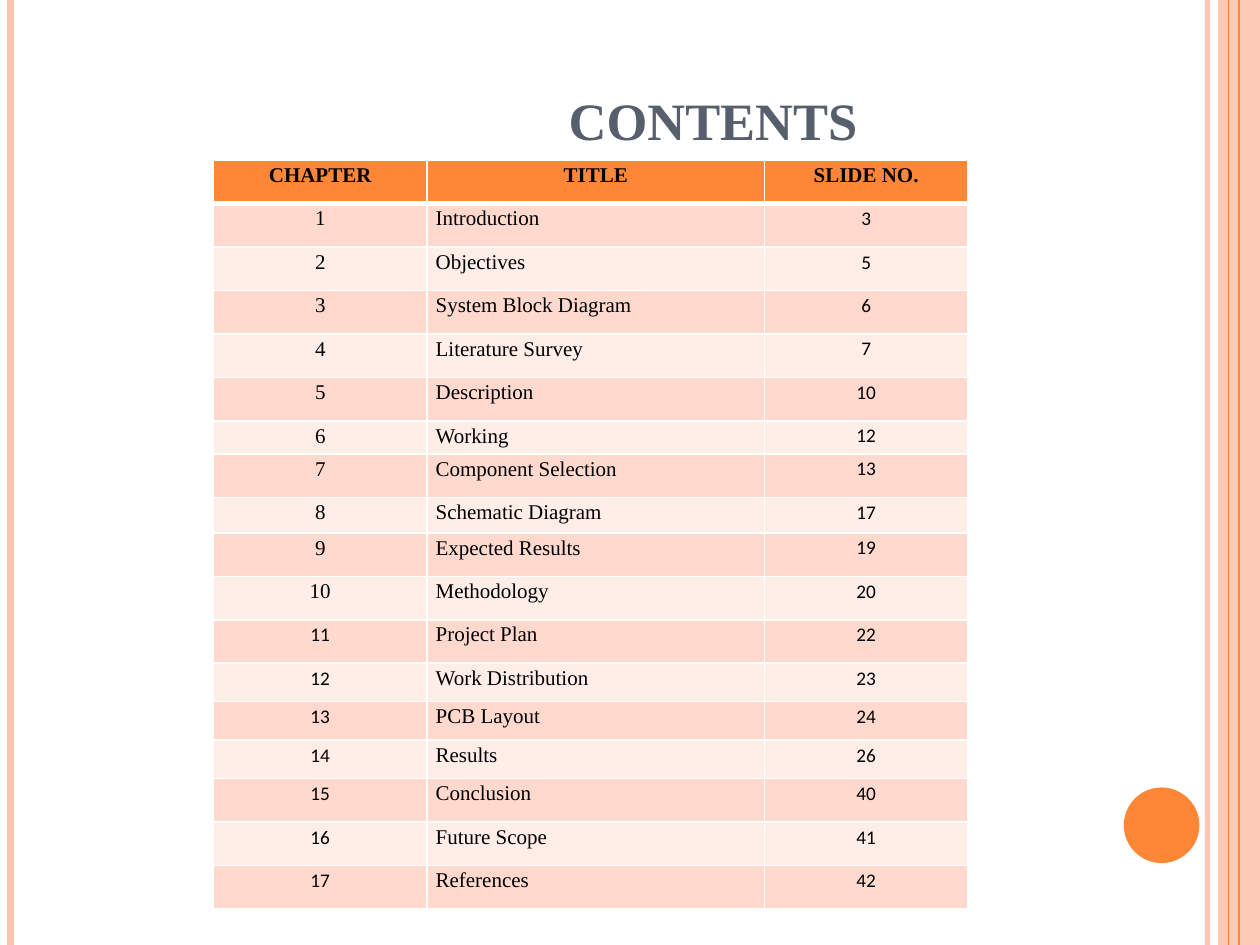
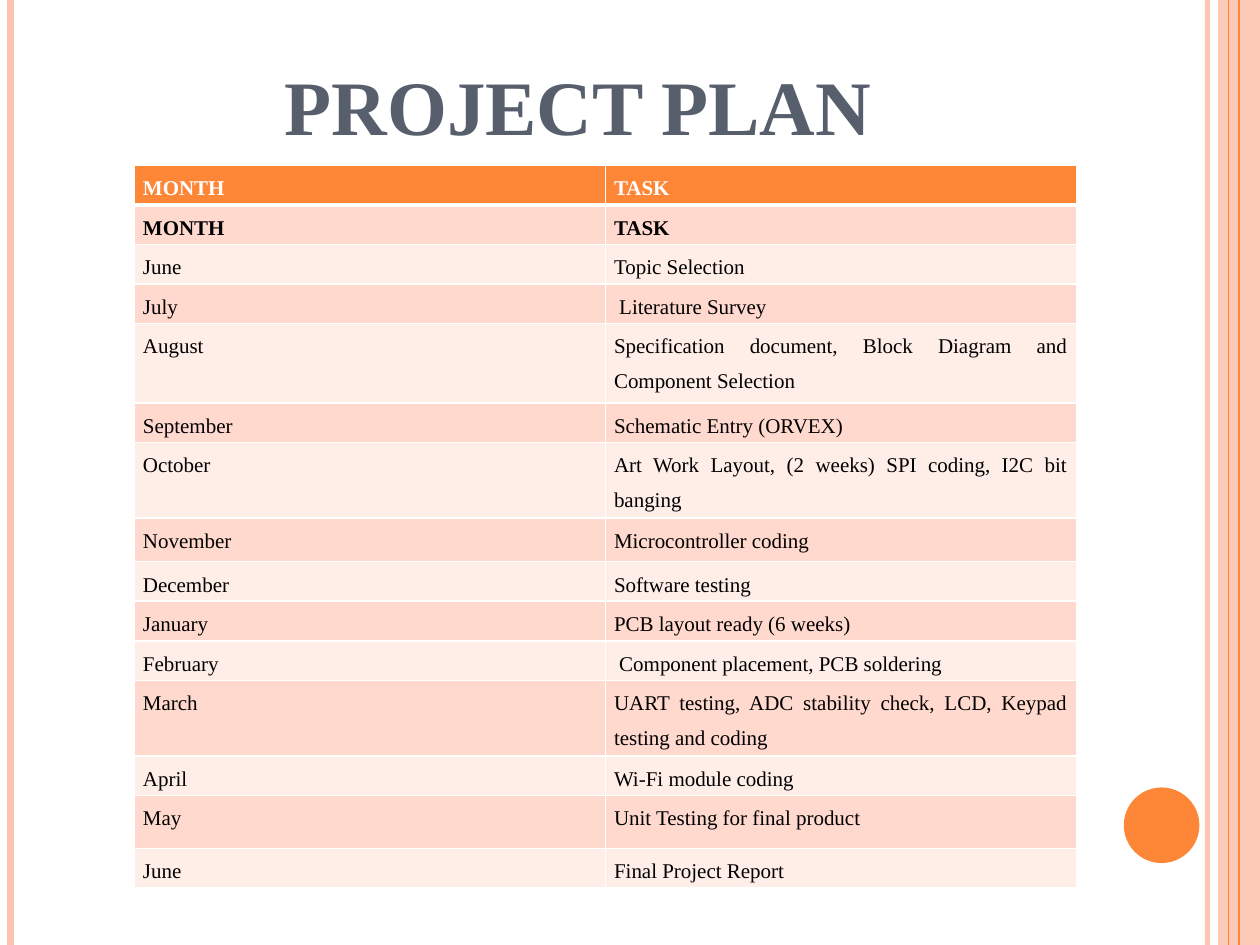
import pptx
import pptx.dml.color
import pptx.enum.shapes
import pptx.enum.text
import pptx.oxml
import pptx.oxml.ns
import pptx.util
from lxml import etree

Pt = pptx.util.Pt
ALIGN = pptx.enum.text.PP_ALIGN
SHAPE = pptx.enum.shapes.MSO_SHAPE
qn = pptx.oxml.ns.qn

ORANGE, PEACH = "FE8637", "FEC3AE"
ROW_FILLS = ["FFEDE8", "FFD9CE"]
WHITE, BLACK, SLATE = "FFFFFF", "000000", "575F6D"
SERIF, SANS = "Times New Roman", "Calibri"
PAGE_WIDTH, PAGE_HEIGHT = 720, 540


def paint(target, color, opacity=100):
    """Give a fill a solid colour, optionally see-through."""
    target.solid()
    target.fore_color.rgb = pptx.dml.color.RGBColor.from_string(color)
    if opacity < 100:
        element = target._xPr.find(".//" + qn("a:srgbClr"))
        etree.SubElement(element, qn("a:alpha")).set("val", str(opacity * 1000))


def style_text(paragraph, align, font_name, size, color, bold):
    paragraph.alignment = align
    for span in paragraph.runs:
        span.font.name = font_name
        span.font.size = Pt(size)
        span.font.bold = bold
        paint(span.font.fill, color)


# Vertical rules: x, colour, width, opacity; the band lies below the last two
RULES = [(690, PEACH, 3, 93), (6, PEACH, 4.5, 100),
         (708, ORANGE, 1.5, 100), (702, ORANGE, 0.75, 100)]

chapters = [
    ("Introduction", 3), ("Objectives", 5), ("System Block Diagram", 6),
    ("Literature Survey", 7), ("Description", 10), ("Working", 12),
    ("Component Selection", 13), ("Schematic Diagram", 17),
    ("Expected Results", 19), ("Methodology", 20), ("Project Plan", 22),
    ("Work Distribution", 23), ("PCB Layout", 24), ("Results", 26),
    ("Conclusion", 40), ("Future Scope", 41), ("References", 42),
]
contents_rows = [("CHAPTER", "TITLE", "SLIDE NO.")]
for number, (chapter, slide_number) in enumerate(chapters, 1):
    contents_rows.append((str(number), chapter, str(slide_number)))

plan_rows = [
    ("MONTH", "TASK"),
    ("MONTH", "TASK"),
    ("June", "Topic Selection"),
    ("July", " Literature Survey"),
    ("August", "Specification document, Block Diagram and Component Selection"),
    ("September", "Schematic Entry (ORVEX)"),
    ("October", "Art Work Layout, (2 weeks) SPI coding, I2C bit banging"),
    ("November", "Microcontroller coding"),
    ("December", "Software testing"),
    ("January", "PCB layout ready (6 weeks)"),
    ("February", " Component placement, PCB soldering"),
    ("March", "UART testing, ADC stability check, LCD, Keypad testing and coding"),
    ("April", "Wi-Fi module coding"),
    ("May", "Unit Testing for final product"),
    ("June", "Final Project Report"),
]

# Rows not listed under special_heights take the usual row height
pages = [
    dict(title="CONTENTS", title_left=31, title_size=30, title_inset=172,
         rows=contents_rows, left=122, top=91.5, columns=[122, 193, 116],
         row_height=24.85, line_spacing=1.15, space_after=0,
         special_heights={6: 18.9, 8: 20.3, 12: 22, 13: 22, 14: 22}),
    dict(title="PROJECT PLAN", title_left=36.5, title_size=44, title_inset=7.2,
         rows=plan_rows, left=76.7, top=94.5, columns=[269.2, 269.2],
         row_height=22.6, line_spacing=1.5, space_after=1.5,
         special_heights={4: 45.4, 6: 42.6, 7: 24.9, 11: 40, 13: 30.3}),
]

deck = pptx.Presentation()
deck.slide_width, deck.slide_height = Pt(PAGE_WIDTH), Pt(PAGE_HEIGHT)

for content in pages:
    page = deck.slides.add_slide(deck.slide_layouts[6])
    is_contents = content["rows"] is contents_rows

    # Side rules, band and dot
    for x, color, width, opacity in RULES:
        if x == 708:
            continue_band = page.shapes.add_shape(
                SHAPE.RECTANGLE, Pt(696), 0, Pt(24), Pt(PAGE_HEIGHT))
            paint(continue_band.fill, PEACH, 87)
            continue_band.line.fill.background()
            continue_band.shadow.inherit = False
        rule = page.shapes.add_connector(
            pptx.enum.shapes.MSO_CONNECTOR.STRAIGHT, Pt(x), 0, Pt(x), Pt(PAGE_HEIGHT))
        rule.line.width = Pt(width)
        paint(rule.line.fill, color, opacity)
        etree.SubElement(rule._element.spPr, qn("a:effectLst"))
    dot = page.shapes.add_shape(SHAPE.OVAL, Pt(642.2), Pt(450), Pt(43.2), Pt(43.2))
    paint(dot.fill, ORANGE)
    dot.line.fill.background()
    dot.shadow.inherit = False

    # Title
    box = page.shapes.add_textbox(Pt(content["title_left"]), 0, Pt(588), Pt(90))
    frame = box.text_frame
    frame.word_wrap = True
    frame.vertical_anchor = pptx.enum.text.MSO_ANCHOR.BOTTOM
    frame.margin_left = Pt(content["title_inset"])
    frame.text = content["title"]
    style_text(frame.paragraphs[0], ALIGN.CENTER, SERIF, content["title_size"], SLATE, True)

    # Table grid
    rows, columns = content["rows"], content["columns"]
    heights = [content["special_heights"].get(index, content["row_height"])
               for index in range(len(rows))]
    table = page.shapes.add_table(
        len(rows), len(columns), Pt(content["left"]), Pt(content["top"]),
        Pt(sum(columns)), Pt(sum(heights))).table
    for column, width in zip(table.columns, columns):
        column.width = Pt(width)
    for row, height in zip(table.rows, heights):
        row.height = Pt(height)

    # Table cells
    for row_index, row in enumerate(rows):
        is_header = row_index == 0
        for column_index, text in enumerate(row):
            cell = table.cell(row_index, column_index)
            cell.margin_left = cell.margin_right = Pt(5)
            cell.margin_top = cell.margin_bottom = 0
            cell.text_frame.text = text
            paragraph = cell.text_frame.paragraphs[0]
            paragraph.line_spacing = content["line_spacing"]
            paragraph.space_after = Pt(content["space_after"])

            font_name, size, color = SERIF, 12, BLACK
            if is_contents:
                bold = is_header
                align = ALIGN.LEFT if column_index == 1 and not is_header else ALIGN.CENTER
                # Slide numbers and the later chapter numbers are set in the sans face
                if (column_index == 2 and not is_header) or (column_index == 0 and row_index > 10):
                    font_name, size = SANS, 11
            else:
                bold = row_index < 2
                align = ALIGN.JUSTIFY
                color = WHITE if is_header else BLACK
            style_text(paragraph, align, font_name, size, color, bold)

            # White borders, thicker under the header; they precede the fill
            properties = cell._tc.get_or_add_tcPr()
            for side in "LRTB":
                thick = (row_index, side) in [(0, "B"), (1, "T")]
                border = etree.SubElement(properties, qn("a:ln" + side))
                border.set("w", str(Pt(3 if thick else 1)))
                solid = etree.SubElement(border, qn("a:solidFill"))
                etree.SubElement(solid, qn("a:srgbClr")).set("val", WHITE)
            paint(cell.fill, ORANGE if is_header else ROW_FILLS[row_index % 2])

deck.save("out.pptx")
